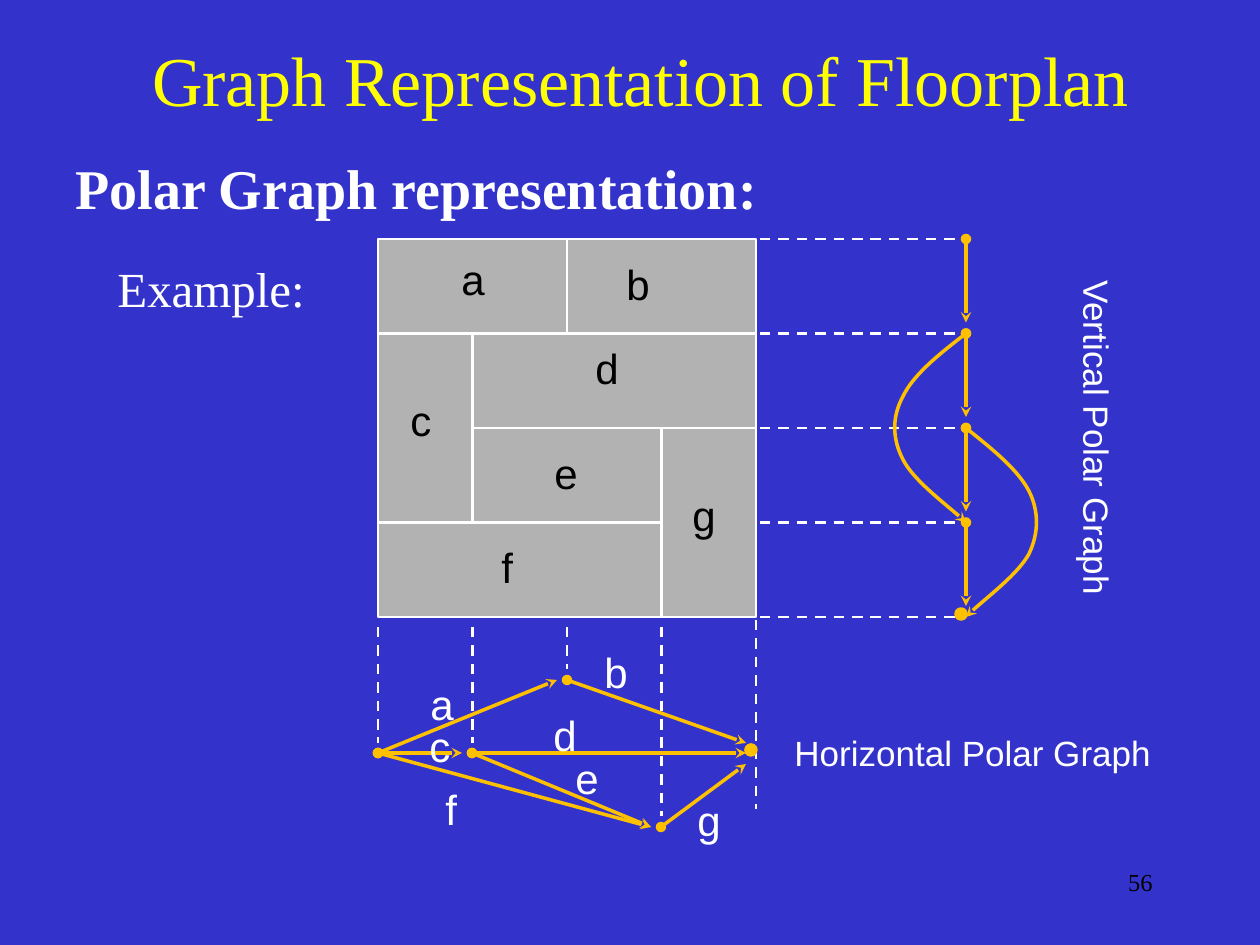
import pptx
import pptx.util
import pptx.dml.color
import pptx.enum.dml
import pptx.enum.shapes
import pptx.enum.text
import pptx.oxml.ns
from lxml import etree

PX = 914400 / 126
WHITE, BLACK, GOLD, GREY = "FFFFFF", "000000", "FFC000", "B2B2B2"
SERIF, SANS = "Times New Roman", "Arial"
LEFT, TOP, CELL = 378, 239, 378 / 4
AXIS_X, AXIS_Y = 966, 753
DOT = 10

# name, column, row, columns wide, rows high
ROOMS = [
    ("b", 2, 0, 2, 1), ("a", 0, 0, 2, 1), ("c", 0, 1, 1, 2), ("d", 1, 1, 3, 1),
    ("e", 1, 2, 2, 1), ("g", 3, 2, 1, 2), ("f", 0, 3, 3, 1),
]
LABEL_WIDTHS = {"a": 52, "b": 48, "c": 48, "d": 45, "e": 43, "f": 47, "g": 42}
ROOM_LABELS = {"a": (449, 247), "b": (614, 252), "c": (398, 388), "d": (583, 336),
               "e": (542, 441), "f": (489, 535), "g": (680, 483)}
EDGE_LABELS = {"c": (417, 714), "f": (433, 777), "a": (418, 672), "d": (541, 703),
               "e": (563, 746), "b": (592, 640), "g": (685, 788)}
COLUMN_GUIDES = [(627, 743), (627, 743), (627, 669), (627, 816), (620, 809)]
HORIZONTAL_EDGES = [
    ((378, 753), (557, 680)), ((661, 827), (746, 764)), ((378, 753), (462, 753)),
    ((472, 753), (746, 753)), ((567, 680), (746, 743)), ((472, 753), (651, 827)),
    ((378, 753), (651, 827)),
]
# start row and bend points relative to the axis
CURVES = [
    (1, [(-26, 20), (-53, 42), (-63, 63), (-74, 83), (-74, 105), (-63, 126),
         (-53, 146), (-11, 178), (0, 189)]),
    (2, [(25, 20), (52, 42), (63, 63), (73, 83), (73, 105), (63, 126),
         (52, 146), (10, 178), (0, 189)]),
]
# text, box, size, colour, bold, alignment, anchor
SERIF_TEXTS = [
    ("Polar Graph representation:", (63, 147, 1134, 95), 32, WHITE, True, "LEFT", "TOP"),
    ("Graph Representation of Floorplan", (126, 21, 1029, 116), 40, "FFFF00", False, "CENTER", "MIDDLE"),
    ("Example:", (105, 252, 1092, 63), 28, WHITE, False, "LEFT", "TOP"),
    ("56", (903, 861, 262, 63), 14, BLACK, False, "RIGHT", "TOP"),
]
GRAPH_TITLES = [
    ("Horizontal Polar Graph", (782, 725, 382, 55), 0),
    ("Vertical Polar Graph", (927, 411, 340, 55), 90),
]


def emu(*lengths):
    return [pptx.util.Emu(round(length * PX)) for length in lengths]


def rgb(value):
    return pptx.dml.color.RGBColor.from_string(value)


def style_line(shape, color, width, head=None, tail=None):
    shape.line.color.rgb = rgb(color)
    shape.line.width = pptx.util.Pt(width)
    outline = shape.line._get_or_add_ln()
    for tag, kind in (("a:headEnd", head), ("a:tailEnd", tail)):
        if kind:
            etree.SubElement(outline, pptx.oxml.ns.qn(tag), type=kind)


def add_line(page, start, end, color, width, head=None, tail=None):
    line = page.shapes.add_connector(
        pptx.enum.shapes.MSO_CONNECTOR.STRAIGHT, *emu(*start, *end))
    style_line(line, color, width, head, tail)
    etree.SubElement(line._element.spPr, pptx.oxml.ns.qn("a:effectLst"))
    return line


def add_guide(page, start, end):
    guide = add_line(page, start, end, WHITE, 1.5)
    guide.line.dash_style = pptx.enum.dml.MSO_LINE.DASH


def add_edge(page, start, end):
    add_line(page, start, end, GOLD, 2, "oval", "stealth")


def add_shape(page, kind, box, fill, line, width):
    shape = page.shapes.add_shape(kind, *emu(*box))
    shape.shadow.inherit = False
    shape.fill.solid()
    shape.fill.fore_color.rgb = rgb(fill)
    style_line(shape, line, width)


def add_curve(page, row, bends):
    start_y = TOP + row * CELL
    builder = page.shapes.build_freeform(*emu(AXIS_X, start_y))
    builder.add_line_segments(
        [emu(AXIS_X + x, start_y + y) for x, y in bends], close=False)
    curve = builder.convert_to_shape()
    curve.shadow.inherit = False
    curve.fill.background()
    style_line(curve, GOLD, 2, "oval", "stealth")
    segments = list(curve._element.iter(pptx.oxml.ns.qn("a:lnTo")))
    outline = segments[0].getparent()
    for first in range(0, len(segments), 3):
        bend = etree.SubElement(outline, pptx.oxml.ns.qn("a:cubicBezTo"))
        for segment in segments[first:first + 3]:
            bend.append(segment[0])
            outline.remove(segment)


def add_text(page, text, place, size, color, font=SANS, bold=False,
             align="LEFT", anchor="TOP", wrap=False):
    box = page.shapes.add_textbox(*emu(*place))
    frame = box.text_frame
    frame.word_wrap = wrap
    frame.vertical_anchor = pptx.enum.text.MSO_ANCHOR[anchor]
    if not wrap:
        frame.auto_size = pptx.enum.text.MSO_AUTO_SIZE.SHAPE_TO_FIT_TEXT
    para = frame.paragraphs[0]
    para.alignment = pptx.enum.text.PP_ALIGN[align]
    span = para.add_run()
    span.text = text
    span.font.name = font
    span.font.size = pptx.util.Pt(size)
    span.font.bold = bold
    span.font.color.rgb = rgb(color)
    return box


def main():
    deck = pptx.Presentation()
    deck.slide_width, deck.slide_height = emu(1260, 945)
    page = deck.slides.add_slide(deck.slide_layouts[6])
    page.background.fill.solid()
    page.background.fill.fore_color.rgb = rgb("3333CC")

    for text, place, size, color, bold, align, anchor in SERIF_TEXTS:
        add_text(page, text, place, size, color, SERIF, bold, align, anchor, True)

    for name, column, row, wide, high in ROOMS:
        box = (LEFT + column * CELL, TOP + row * CELL, wide * CELL, high * CELL)
        add_shape(page, pptx.enum.shapes.MSO_SHAPE.RECTANGLE, box, GREY, WHITE, 1.5)

    for column, (top, bottom) in enumerate(COLUMN_GUIDES):
        x = LEFT + column * CELL
        add_guide(page, (x, top), (x, bottom))
    for row in range(5):
        y = TOP + row * CELL
        add_guide(page, (760, y), (960, y))
        if row < 4:
            add_edge(page, (AXIS_X, y), (AXIS_X, y + CELL - 11))
    for start, end in HORIZONTAL_EDGES:
        add_edge(page, start, end)
    for row, bends in CURVES:
        add_curve(page, row, bends)

    for x, y in ((LEFT + 4 * CELL, AXIS_Y), (AXIS_X, TOP + 4 * CELL)):
        add_line(page, (x, y), (x, y), GOLD, 2, "oval")
        add_shape(page, pptx.enum.shapes.MSO_SHAPE.OVAL,
                  (x - DOT, y - 8, DOT, DOT), GOLD, GOLD, 2)

    for text, place, angle in GRAPH_TITLES:
        add_text(page, text, place, 20, WHITE).rotation = angle
    for labels, color in ((ROOM_LABELS, BLACK), (EDGE_LABELS, WHITE)):
        for name, (x, y) in labels.items():
            add_text(page, name, (x, y, LABEL_WIDTHS[name], 63), 24, color)

    deck.save("out.pptx")


if __name__ == "__main__":
    main()
